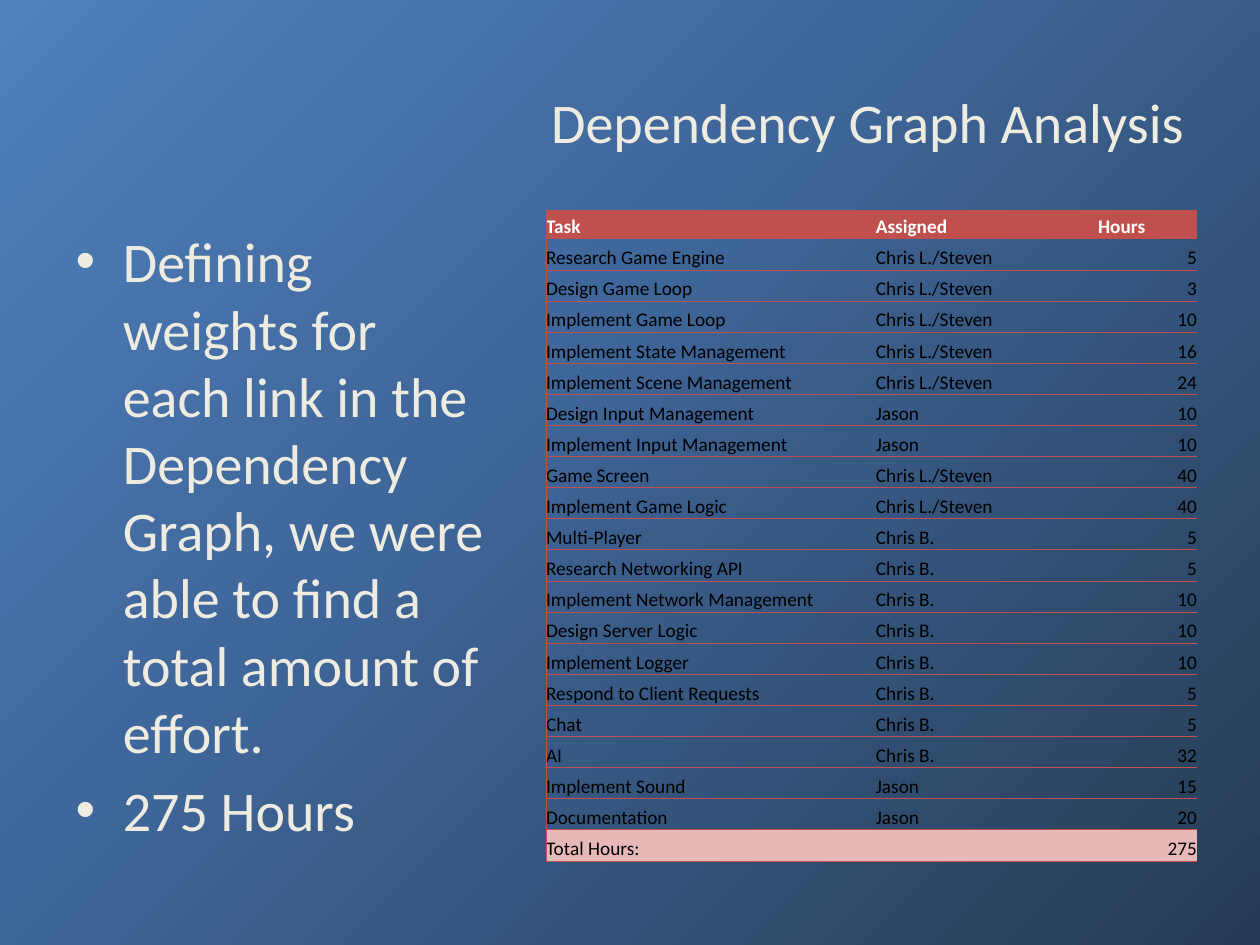
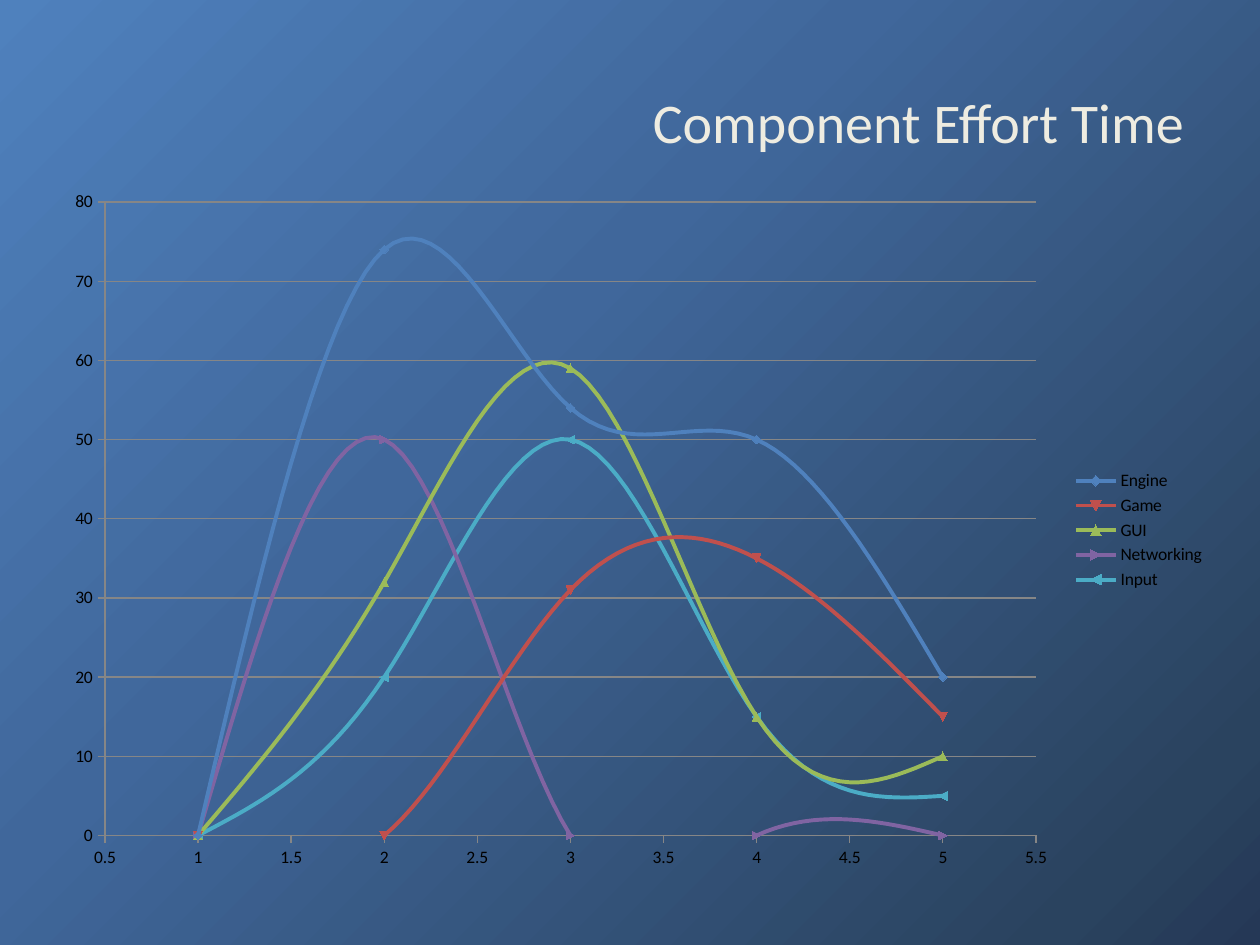
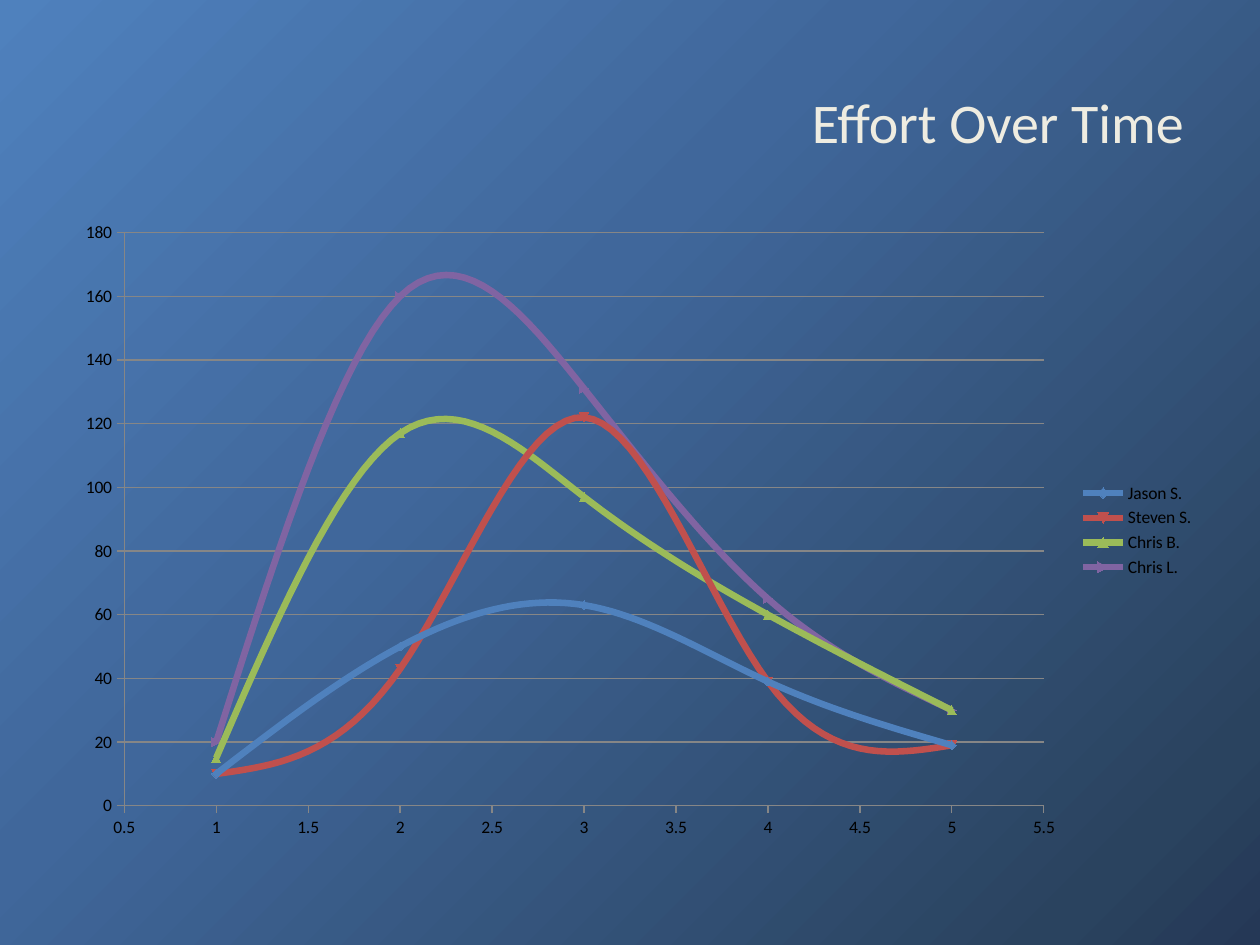
from dataclasses import dataclass

from lxml.etree import SubElement
from pptx import Presentation
from pptx.chart.data import XyChartData
from pptx.dml.color import RGBColor
from pptx.enum.chart import XL_CHART_TYPE, XL_LEGEND_POSITION, XL_TICK_MARK
from pptx.enum.text import MSO_ANCHOR, MSO_AUTO_SIZE, PP_ALIGN
from pptx.oxml.ns import qn
from pptx.util import Pt

FONT = "Calibri"
COLORS = {
    "cream": "EEECE1", "white": "FFFFFF", "black": "000000", "grey": "868686",
    "blue": "4F81BD", "red": "C0504D", "green": "9BBB59",
    "purple": "8064A2", "aqua": "4BACC6", "pink": "E6B9B8",
}
BACKGROUND_STOPS = [(0, "4F81BD"), (40, "40679B"), (90, "2A435F"), (100, "253856")]
SERIES_COLORS = ["blue", "red", "green", "purple", "aqua"]
NO_STYLE_TABLE = "{2D5ABB26-0587-4C30-8999-92F81FD0307C}"


@dataclass(frozen=True)
class Box:
    left: float
    top: float
    width: float
    height: float

    def lengths(self) -> tuple:
        return Pt(self.left), Pt(self.top), Pt(self.width), Pt(self.height)


@dataclass(frozen=True)
class EffortChart:
    title: str
    frame: Box
    plot: Box
    top_hours: int
    hours_step: int
    line_width: float
    efforts: dict[str, list[int]]


TITLE_BOX = Box(36, 24, 648, 90)
BODY_BOX = Box(36, 126, 252, 356.4)
TABLE_BOX = Box(312, 120, 372, 372)
COLUMN_WIDTHS = [188.5, 127, 56.5]
HEADER_HEIGHT, TASK_HEIGHT = 16.5, 17.78

FINDINGS = [
    "Defining weights for each link in the Dependency Graph, we were able to "
    "find a total amount of effort.",
    "275 Hours",
]
ENGINE_TEAM = "Chris L./Steven"
TASKS = [
    ("Research Game Engine", ENGINE_TEAM, 5),
    ("Design Game Loop", ENGINE_TEAM, 3),
    ("Implement Game Loop", ENGINE_TEAM, 10),
    ("Implement State Management", ENGINE_TEAM, 16),
    ("Implement Scene Management", ENGINE_TEAM, 24),
    ("Design Input Management", "Jason", 10),
    ("Implement Input Management", "Jason", 10),
    ("Game Screen", ENGINE_TEAM, 40),
    ("Implement Game Logic", ENGINE_TEAM, 40),
    ("Multi-Player", "Chris B.", 5),
    ("Research Networking API", "Chris B.", 5),
    ("Implement Network Management", "Chris B.", 10),
    ("Design Server Logic", "Chris B.", 10),
    ("Implement Logger", "Chris B.", 10),
    ("Respond to Client Requests", "Chris B.", 5),
    ("Chat", "Chris B.", 5),
    ("AI", "Chris B.", 32),
    ("Implement Sound", "Jason", 15),
    ("Documentation", "Jason", 20),
]
EFFORT_CHARTS = [
    EffortChart(
        "Component Effort Time", Box(30, 102, 666, 402), Box(60, 115.5, 532, 362),
        80, 10, 2.25,
        {
            "Engine": [0, 74, 54, 50, 20],
            "Game": [0, 0, 31, 35, 15],
            "GUI": [0, 32, 59, 15, 10],
            "Networking": [0, 50, 0, 0, 0],
            "Input": [0, 20, 50, 15, 5],
        },
    ),
    EffortChart(
        "Effort Over Time", Box(36, 120, 654, 366), Box(71, 133, 525.5, 327.5),
        180, 20, 3.75,
        {
            "Jason S.": [10, 50, 63, 39, 19],
            "Steven S.": [10, 43, 122, 39, 19],
            "Chris B.": [15, 117, 97, 60, 30],
            "Chris L.": [20, 160, 131, 65, 30],
        },
    ),
]


def rgb(color: str) -> RGBColor:
    return RGBColor.from_string(COLORS[color])


def style_font(font, size: float, color: str, bold: bool = False) -> None:
    font.name, font.size, font.bold = FONT, Pt(size), bold
    font.color.rgb = rgb(color)


def place(shape, box: Box) -> None:
    shape.left, shape.top, shape.width, shape.height = box.lengths()


# Shared background and title
def paint_background(master) -> None:
    fill = master.background.fill
    fill.gradient()
    fill.gradient_angle = 315
    stops = master._element.find(".//" + qn("a:gsLst"))
    stops.clear()
    for percent, color in BACKGROUND_STOPS:
        stop = SubElement(stops, qn("a:gs"), pos=str(percent * 1000))
        SubElement(stop, qn("a:srgbClr"), val=color)


def add_titled_slide(prs, layout_index: int, title: str):
    slide = prs.slides.add_slide(prs.slide_layouts[layout_index])
    place(slide.shapes.title, TITLE_BOX)
    frame = slide.shapes.title.text_frame
    frame.vertical_anchor = MSO_ANCHOR.MIDDLE
    paragraph = frame.paragraphs[0]
    paragraph.alignment = PP_ALIGN.RIGHT
    run = paragraph.add_run()
    run.text = title
    style_font(run.font, 32, "cream")
    return slide


def add_findings(slide) -> None:
    body = slide.placeholders[1]
    place(body, BODY_BOX)
    frame = body.text_frame
    frame.auto_size = MSO_AUTO_SIZE.NONE
    for index, finding in enumerate(FINDINGS):
        paragraph = frame.add_paragraph() if index else frame.paragraphs[0]
        run = paragraph.add_run()
        run.text = finding
        style_font(run.font, 32, "cream")


# Task table
def add_borders(cell, sides: str) -> None:
    properties = cell._tc.get_or_add_tcPr()
    for index, side in enumerate(sides):
        line = SubElement(properties, qn(f"a:ln{side}"), w=str(Pt(0.5)))
        fill = SubElement(line, qn("a:solidFill"))
        SubElement(fill, qn("a:srgbClr"), val=COLORS["red"])
        properties.insert(index, line)


def fill_cell(cell, text: str, color: str, bold: bool, fill: str | None) -> None:
    cell.margin_left = cell.margin_right = cell.margin_top = cell.margin_bottom = 0
    cell.vertical_anchor = MSO_ANCHOR.BOTTOM
    if fill:
        cell.fill.solid()
        cell.fill.fore_color.rgb = rgb(fill)
    else:
        cell.fill.background()
    paragraph = cell.text_frame.paragraphs[0]
    if not text:
        paragraph._p.get_or_add_endParaRPr().set("sz", "1100")
        return
    if text.isdigit():
        paragraph.alignment = PP_ALIGN.RIGHT
    run = paragraph.add_run()
    run.text = text
    style_font(run.font, 11, color, bold)


def add_task_table(slide) -> None:
    total = sum(hours for _, _, hours in TASKS)
    rows = [("Task", "Assigned", "Hours"), *TASKS, ("Total Hours:", "", total)]
    table = slide.shapes.add_table(
        len(rows), len(COLUMN_WIDTHS), *TABLE_BOX.lengths()).table
    table.first_row = table.horz_banding = False
    table._tbl.tblPr.find(qn("a:tableStyleId")).text = NO_STYLE_TABLE
    for column, width in zip(table.columns, COLUMN_WIDTHS):
        column.width = Pt(width)
    row_fills = {0: "red", len(rows) - 1: "pink"}
    for row_index, row in enumerate(rows):
        header = row_index == 0
        table.rows[row_index].height = Pt(HEADER_HEIGHT if header else TASK_HEIGHT)
        for column_index, value in enumerate(row):
            cell = table.cell(row_index, column_index)
            fill_cell(cell, str(value), "white" if header else "black",
                      header, row_fills.get(row_index))
            add_borders(cell, "TB" if column_index else "LTB")


# Effort charts
def set_axis(axis, low: float, high: float, step: float, gridlines: bool) -> None:
    axis.minimum_scale, axis.maximum_scale, axis.major_unit = low, high, step
    axis.major_tick_mark, axis.minor_tick_mark = XL_TICK_MARK.OUTSIDE, XL_TICK_MARK.NONE
    axis.has_major_gridlines = gridlines
    lines = [axis.format.line]
    if gridlines:
        lines.append(axis.major_gridlines.format.line)
    for line in lines:
        line.color.rgb = rgb("grey")
        line.width = Pt(0.75)


def set_plot_layout(chart, frame: Box, plot: Box) -> None:
    plot_area = chart._chartSpace.chart.plotArea
    layout = plot_area.find(qn("c:layout"))
    if layout is None:
        layout = SubElement(plot_area, qn("c:layout"))
        plot_area.insert(0, layout)
    manual = SubElement(layout, qn("c:manualLayout"))
    settings = {
        "layoutTarget": "inner", "xMode": "edge", "yMode": "edge",
        "x": (plot.left - frame.left) / frame.width,
        "y": (plot.top - frame.top) / frame.height,
        "w": plot.width / frame.width,
        "h": plot.height / frame.height,
    }
    for name, value in settings.items():
        SubElement(manual, qn(f"c:{name}"), val=str(value))


def add_effort_chart(slide, effort: EffortChart) -> None:
    data = XyChartData()
    for name, hours in effort.efforts.items():
        points = data.add_series(name)
        for period, value in enumerate(hours, start=1):
            points.add_data_point(period, value)
    chart = slide.shapes.add_chart(
        XL_CHART_TYPE.XY_SCATTER_SMOOTH, *effort.frame.lengths(), data).chart
    chart.has_title = False
    style_font(chart.font, 10, "black")
    chart.has_legend = True
    chart.legend.position = XL_LEGEND_POSITION.RIGHT
    chart.legend.include_in_layout = False
    set_axis(chart.category_axis, 0.5, 5.5, 0.5, False)
    set_axis(chart.value_axis, 0, effort.top_hours, effort.hours_step, True)
    set_plot_layout(chart, effort.frame, effort.plot)
    chart.plots[0].vary_by_categories = False
    for series, color in zip(chart.plots[0].series, SERIES_COLORS):
        series.format.line.color.rgb = rgb(color)
        series.format.line.width = Pt(effort.line_width)
        series._element.find(qn("c:smooth")).set("val", "1")


def main() -> None:
    prs = Presentation()
    prs.slide_width, prs.slide_height = Pt(720), Pt(540)
    paint_background(prs.slide_master)

    analysis = add_titled_slide(prs, 1, "Dependency Graph Analysis")
    add_findings(analysis)
    add_task_table(analysis)

    for effort in EFFORT_CHARTS:
        add_effort_chart(add_titled_slide(prs, 5, effort.title), effort)
    prs.save("out.pptx")


if __name__ == "__main__":
    main()
